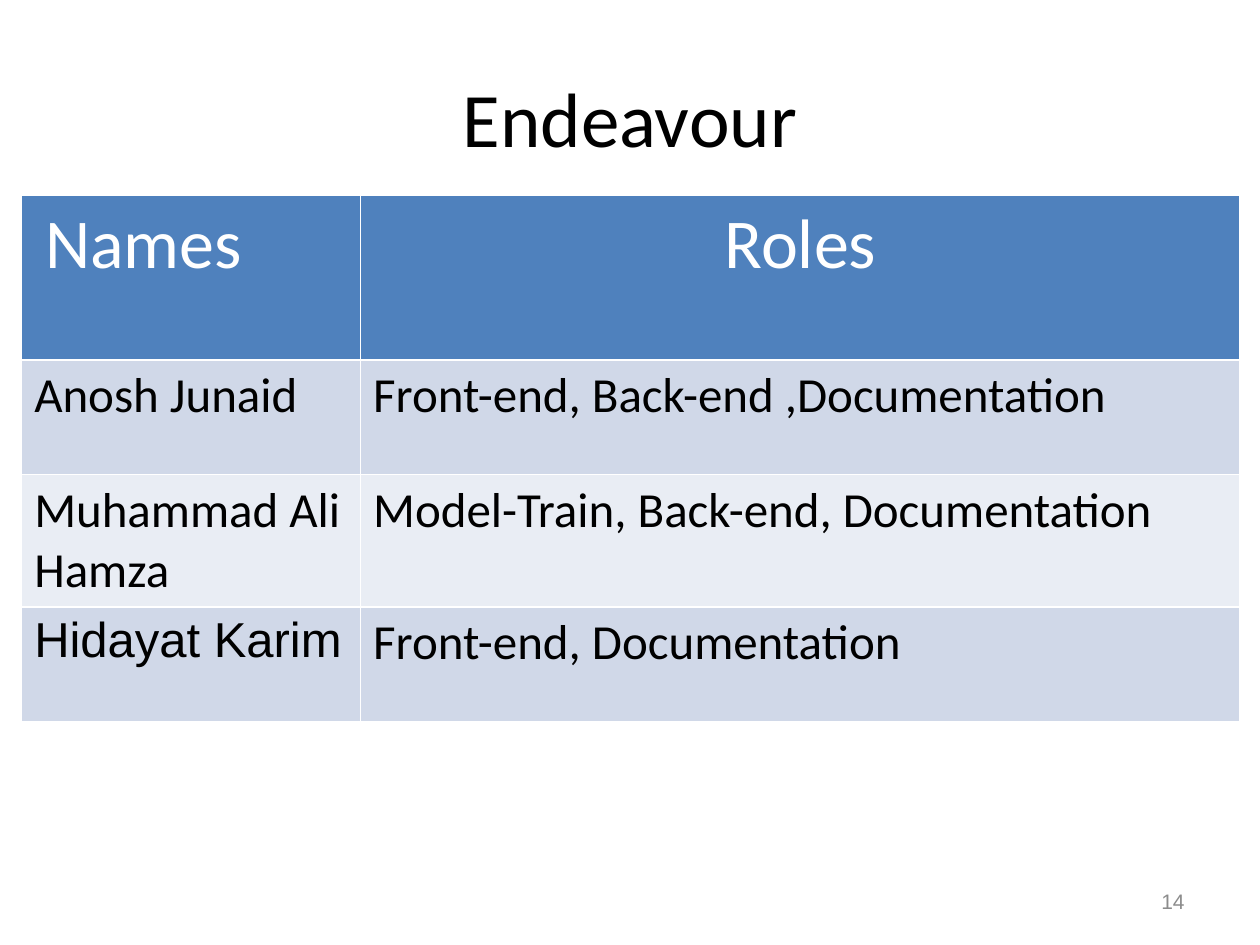
import pptx
import pptx.dml.color
import pptx.enum.text
import pptx.util
from dataclasses import dataclass

Pt = pptx.util.Pt
Align = pptx.enum.text.PP_ALIGN
Anchor = pptx.enum.text.MSO_ANCHOR


@dataclass(frozen=True)
class Theme:
    font: str = "Calibri"
    alt_font: str = "Arial"
    ink: str = "000000"
    header_ink: str = "FFFFFF"
    number_ink: str = "8C8C8C"
    header_fill: str = "4F81BD"
    bands: tuple = ("D0D8E8", "E9EDF4")
    title_size: int = 44
    header_size: int = 40
    body_size: int = 28
    number_size: int = 12


THEME = Theme()
HEADINGS = ("Names", "Roles")
MEMBERS = (
    ("Anosh Junaid", "Front-end, Back-end ,Documentation"),
    ("Muhammad Ali Hamza", "Model-Train, Back-end, Documentation"),
    ("Hidayat Karim", "Front-end, Documentation"),
)
COLUMN_WIDTHS = (193.7, 502.5)
ROW_HEIGHTS = (94, 65.5, 65, 65.5)


def rgb(value):
    return pptx.dml.color.RGBColor.from_string(value)


def write(frame, text, size, color, align=Align.LEFT, font=THEME.font):
    frame.text = text
    paragraph = frame.paragraphs[0]
    paragraph.alignment = align
    paragraph.font.name = font
    paragraph.font.size = Pt(size)
    paragraph.font.bold = False
    paragraph.font.color.rgb = rgb(color)


def fill_cell(cell, fill, *text_args, **text_options):
    cell.fill.solid()
    cell.fill.fore_color.rgb = rgb(fill)
    write(cell.text_frame, *text_args, **text_options)


def add_title(slide, text):
    title = slide.shapes.title
    title.left, title.top, title.width, title.height = map(Pt, (36, 21.6, 648, 90))
    title.text_frame.vertical_anchor = Anchor.MIDDLE
    write(title.text_frame, text, THEME.title_size, THEME.ink, Align.CENTER)


def add_roles_table(slide):
    roles = slide.shapes.add_table(
        len(MEMBERS) + 1, len(HEADINGS), Pt(12.4), Pt(111.6),
        Pt(sum(COLUMN_WIDTHS)), Pt(sum(ROW_HEIGHTS))).table
    for column, width in zip(roles.columns, COLUMN_WIDTHS):
        column.width = Pt(width)
    for row, height in zip(roles.rows, ROW_HEIGHTS):
        row.height = Pt(height)

    for column, (heading, align) in enumerate(zip(HEADINGS, (Align.LEFT, Align.CENTER))):
        fill_cell(roles.cell(0, column), THEME.header_fill, heading,
                  THEME.header_size, THEME.header_ink, align)
    roles.cell(0, 0).margin_left = Pt(13.5)

    for index, member in enumerate(MEMBERS):
        band = THEME.bands[index % len(THEME.bands)]
        for column, text in enumerate(member):
            font = THEME.alt_font if text == "Hidayat Karim" else THEME.font
            fill_cell(roles.cell(index + 1, column), band, text,
                      THEME.body_size, THEME.ink, font=font)


def add_slide_number(slide, number):
    frame = slide.shapes.add_textbox(Pt(516), Pt(500.5), Pt(168), Pt(28.75)).text_frame
    frame.word_wrap = True
    frame.vertical_anchor = Anchor.MIDDLE
    write(frame, number, THEME.number_size, THEME.number_ink, Align.RIGHT, THEME.alt_font)


def main():
    deck = pptx.Presentation()
    deck.slide_width, deck.slide_height = Pt(720), Pt(540)
    slide = deck.slides.add_slide(deck.slide_layouts.get_by_name("Title Only"))
    add_title(slide, "Endeavour")
    add_roles_table(slide)
    add_slide_number(slide, "14")
    deck.save("out.pptx")


if __name__ == "__main__":
    main()
